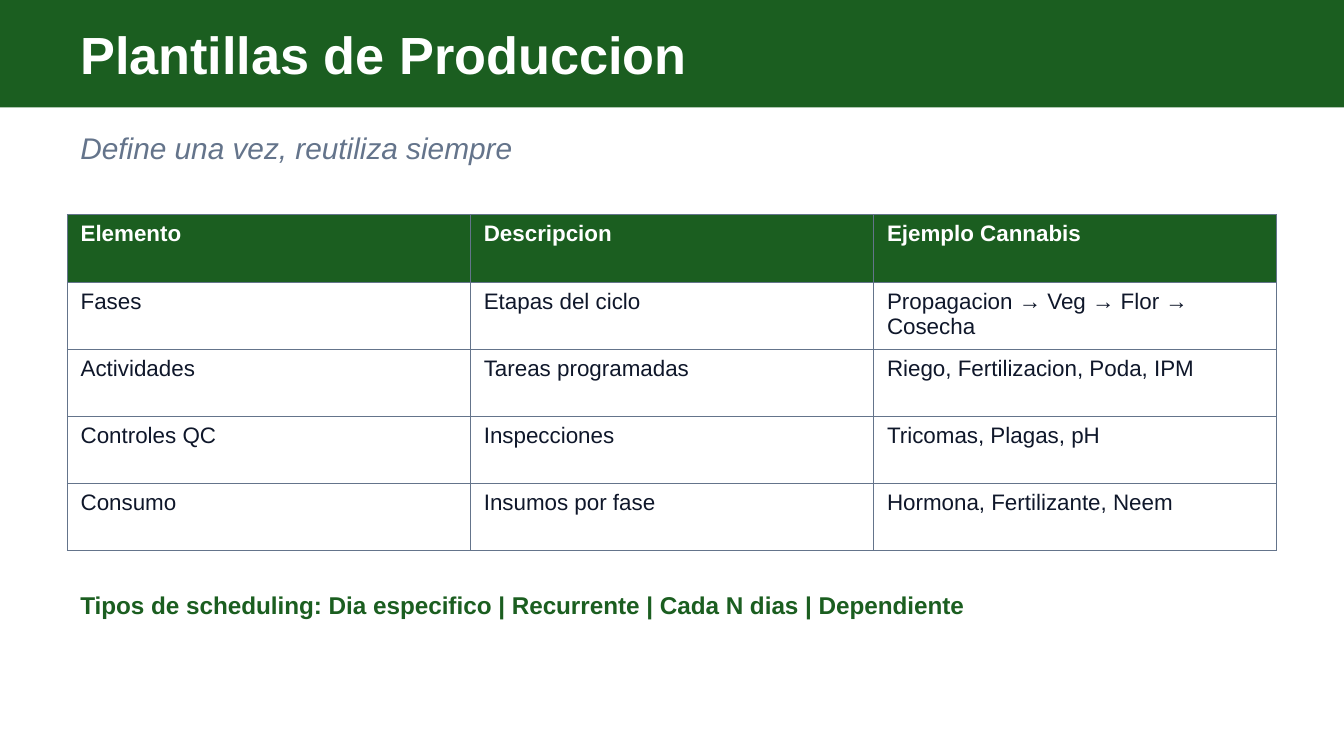
import lxml.etree
import pptx
import pptx.dml.color
import pptx.enum.shapes
import pptx.enum.text
import pptx.oxml.ns
import pptx.util
from pptx.util import Cm

GREEN = pptx.dml.color.RGBColor(0x1B, 0x5E, 0x20)
SLATE = pptx.dml.color.RGBColor(0x64, 0x74, 0x8B)
INK = pptx.dml.color.RGBColor(0x0F, 0x17, 0x2A)
WHITE = pptx.dml.color.RGBColor(0xFF, 0xFF, 0xFF)

SLIDE_W, SLIDE_H = Cm(25.4), Cm(14.29)
MARGIN = Cm(1.27)
CONTENT_W = SLIDE_W - 2 * MARGIN

ROWS = [
    ("Elemento", "Descripcion", "Ejemplo Cannabis"),
    ("Fases", "Etapas del ciclo", "Propagacion → Veg → Flor → Cosecha"),
    ("Actividades", "Tareas programadas", "Riego, Fertilizacion, Poda, IPM"),
    ("Controles QC", "Inspecciones", "Tricomas, Plagas, pH"),
    ("Consumo", "Insumos por fase", "Hormona, Fertilizante, Neem"),
]


def style_paragraph(p, size, color, bold=False, italic=False):
    p.font.name = "Arial"
    p.font.size = pptx.util.Pt(size)
    p.font.color.rgb = color
    p.font.bold = bold
    p.font.italic = italic


def add_text(s, box, text, size, color, bold=False, italic=False):
    """Add one line, centred vertically on box (left, top, width, height)."""
    tf = s.shapes.add_textbox(*box).text_frame
    tf.word_wrap = True
    tf.vertical_anchor = pptx.enum.text.MSO_ANCHOR.MIDDLE
    p = tf.paragraphs[0]
    p.text = text
    style_paragraph(p, size, color, bold, italic)


def add_header(s, box, title):
    left, top, width, height = box
    sp = s.shapes.add_shape(pptx.enum.shapes.MSO_SHAPE.RECTANGLE, *box)
    sp.shadow.inherit = False
    sp.fill.solid()
    sp.fill.fore_color.rgb = GREEN
    sp.line.fill.background()
    pad = Cm(0.38)
    title_box = (left + MARGIN, top + pad, width - 2 * MARGIN, height - 2 * pad)
    add_text(s, title_box, title, 28, WHITE, bold=True)


def set_borders(cell, color, width):
    tc_pr = cell._tc.get_or_add_tcPr()
    qn = pptx.oxml.ns.qn
    for i, side in enumerate(("lnL", "lnR", "lnT", "lnB")):
        ln = lxml.etree.Element(qn(f"a:{side}"), w=str(pptx.util.Pt(width)))
        fill = lxml.etree.SubElement(ln, qn("a:solidFill"))
        lxml.etree.SubElement(fill, qn("a:srgbClr"), val=str(color))
        tc_pr.insert(i, ln)


def add_grid(s, box, rows):
    """Add a table of equal cells whose first row is the heading."""
    table = s.shapes.add_table(len(rows), len(rows[0]), *box).table
    table.first_row = False
    table.horz_banding = False
    for i, row in enumerate(rows):
        heading = i == 0
        for j, text in enumerate(row):
            cell = table.cell(i, j)
            cell.text = text
            style_paragraph(cell.text_frame.paragraphs[0], 12,
                            WHITE if heading else INK, bold=heading)
            if heading:
                cell.fill.solid()
                cell.fill.fore_color.rgb = GREEN
            else:
                cell.fill.background()
            set_borders(cell, SLATE, 0.5)


def main():
    prs = pptx.Presentation()
    prs.slide_width, prs.slide_height = SLIDE_W, SLIDE_H
    s = prs.slides.add_slide(prs.slide_layouts[6])
    add_header(s, (0, 0, SLIDE_W, Cm(2.03)), "Plantillas de Produccion")
    add_text(s, (MARGIN, Cm(2.79), CONTENT_W, 0),
             "Define una vez, reutiliza siempre", 16, SLATE, italic=True)
    add_grid(s, (MARGIN, Cm(4.06), CONTENT_W, Cm(1.27) * len(ROWS)), ROWS)
    add_text(s, (MARGIN, Cm(11.43), CONTENT_W, 0),
             "Tipos de scheduling: Dia especifico | Recurrente | "
             "Cada N dias | Dependiente", 13, GREEN, bold=True)
    prs.save("out.pptx")


if __name__ == "__main__":
    main()
